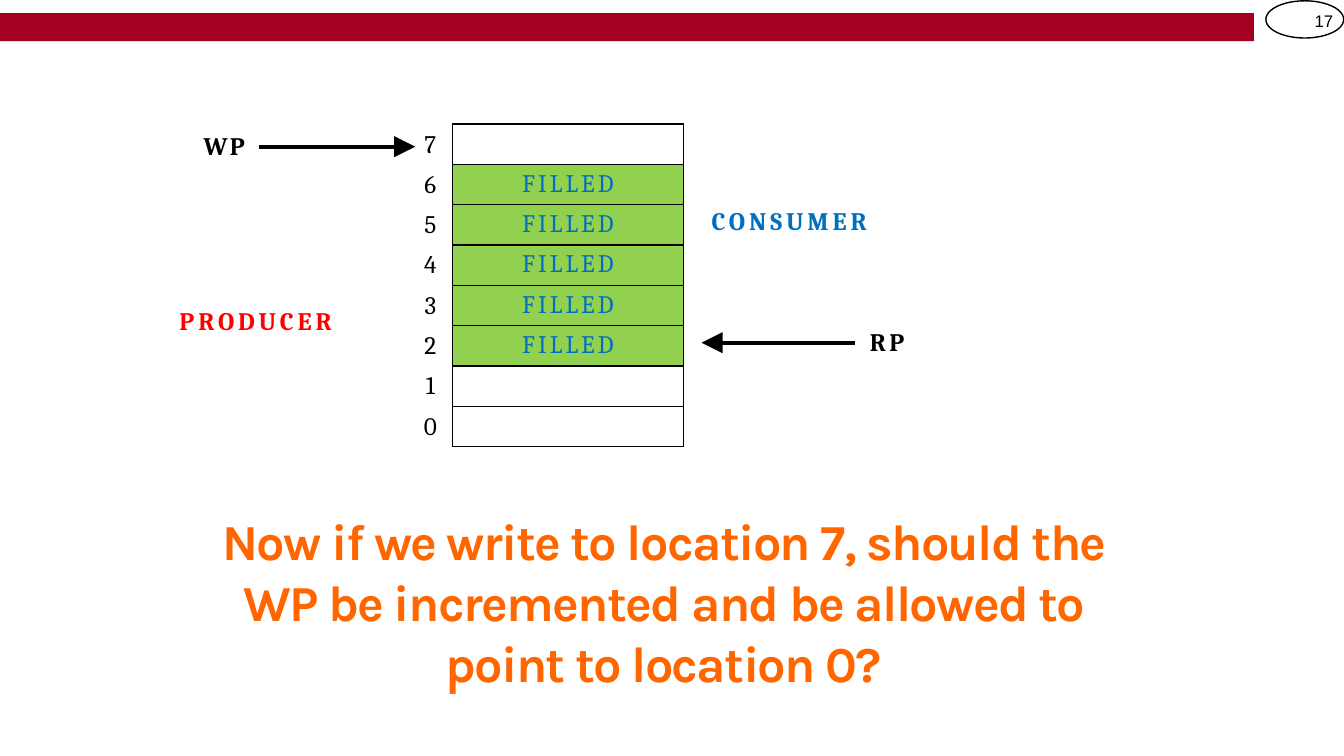
import pptx
import pptx.dml.color
import pptx.enum.shapes
import pptx.enum.text
import pptx.oxml.ns
import pptx.util
from lxml import etree

Pt = pptx.util.Pt
RGBColor = pptx.dml.color.RGBColor
ALIGN = pptx.enum.text.PP_ALIGN
SHAPE = pptx.enum.shapes.MSO_SHAPE
qn = pptx.oxml.ns.qn

BLACK = RGBColor(0x00, 0x00, 0x00)
CRIMSON = RGBColor(0xA4, 0x00, 0x20)
RED = RGBColor(0xFF, 0x00, 0x00)
BLUE = RGBColor(0x00, 0x6F, 0xC0)
GREEN = RGBColor(0x92, 0xD0, 0x50)
ORANGE = RGBColor(0xFF, 0x66, 0x00)

ROW_HEIGHT = 28.8
END_ROW_HEIGHT = 25.2
SLOT_COUNT = 8
FILLED_SLOTS = range(2, 7)


def write(paragraph, text, color, size=18, font="Cambria", bold=False,
          spacing=0, before=1, align=ALIGN.LEFT):
    run = paragraph.add_run()
    run.text = text
    run._r.get_or_add_rPr().set("spc", str(round(spacing * 100)))
    paragraph.alignment = align
    paragraph.space_before = Pt(before)
    paragraph.font.name = font
    paragraph.font.size = Pt(size)
    paragraph.font.bold = bold
    paragraph.font.color.rgb = color


def add_label(slide, text, left, top, width, height, color, **style):
    label = slide.shapes.add_textbox(Pt(left), Pt(top), Pt(width), Pt(height))
    frame = label.text_frame
    frame.word_wrap = True
    frame.margin_left = frame.margin_right = frame.margin_bottom = 0
    frame.margin_top = Pt(1)
    write(frame.paragraphs[0], text, color, **style)
    return frame.paragraphs[0]


def add_plain_shape(slide, kind, left, top, width, height):
    shape = slide.shapes.add_shape(kind, Pt(left), Pt(top), Pt(width), Pt(height))
    shape.shadow.inherit = False
    return shape


def add_header(slide):
    bar = add_plain_shape(slide, SHAPE.RECTANGLE, 0, 9.4, 895.7, 20)
    bar.fill.solid()
    bar.fill.fore_color.rgb = CRIMSON
    bar.line.fill.background()
    badge = add_plain_shape(slide, SHAPE.OVAL, 904.2, 0.6, 55.6, 26.6)
    badge.fill.background()
    badge.line.color.rgb = BLACK
    badge.line.width = Pt(1)
    add_label(slide, "17", 939, 6.5, 15, 16.5, BLACK, size=12, font="Arial",
              spacing=-0.1)


def set_borders(cell, color):
    properties = cell._tc.get_or_add_tcPr()
    for side in ("a:lnL", "a:lnR", "a:lnT", "a:lnB"):
        border = etree.SubElement(properties, qn(side), w=str(Pt(1)))
        if color is None:
            etree.SubElement(border, qn("a:noFill"))
        else:
            fill = etree.SubElement(border, qn("a:solidFill"))
            etree.SubElement(fill, qn("a:srgbClr"), val=str(color))


def add_column(slide, left, top, width, row_heights, border):
    frame = slide.shapes.add_table(len(row_heights), 1, Pt(left), Pt(top),
                                   Pt(width), Pt(sum(row_heights)))
    table = frame.table
    table.first_row = table.horz_banding = False
    for row, height in zip(table.rows, row_heights):
        row.height = Pt(height)
        cell = row.cells[0]
        cell.margin_left = cell.margin_right = cell.margin_bottom = 0
        cell.margin_top = Pt(3.6)
        set_borders(cell, border)
        cell.fill.background()
    return table


def add_buffer(slide):
    slots = add_column(slide, 323.3, 88.6, 164.9, [ROW_HEIGHT] * SLOT_COUNT, BLACK)
    for location in FILLED_SLOTS:
        cell = slots.cell(SLOT_COUNT - 1 - location, 0)
        cell.fill.solid()
        cell.fill.fore_color.rgb = GREEN
        write(cell.text_frame.paragraphs[0], "FILLED", BLUE, spacing=2.2,
              before=3.5, align=ALIGN.CENTER)


def add_locations(slide):
    heights = [END_ROW_HEIGHT, *[ROW_HEIGHT] * (SLOT_COUNT - 2), END_ROW_HEIGHT]
    numbers = add_column(slide, 292.3, 92.9, 30.2, heights, None)
    for row in range(SLOT_COUNT):
        cell = numbers.cell(row, 0)
        paragraph = cell.text_frame.paragraphs[0]
        write(paragraph, str(SLOT_COUNT - 1 - row), BLACK,
              before=3.3 if row else 0, align=ALIGN.CENTER)
        if row == 0:
            cell.margin_top = 0
            paragraph.line_spacing = Pt(21.4)
        elif row == SLOT_COUNT - 1:
            paragraph.line_spacing = Pt(20.9)


def add_pointer(slide, start, end, y):
    pointer = slide.shapes.add_connector(
        pptx.enum.shapes.MSO_CONNECTOR.STRAIGHT, Pt(start), Pt(y), Pt(end), Pt(y))
    pointer.line.color.rgb = BLACK
    pointer.line.width = Pt(3)
    etree.SubElement(pointer.line._get_or_add_ln(), qn("a:tailEnd"),
                     type="triangle", w="lg", len="lg")
    etree.SubElement(pointer._element.spPr, qn("a:effectLst"))


def main():
    presentation = pptx.Presentation()
    presentation.slide_width = Pt(960)
    presentation.slide_height = Pt(540)
    slide = presentation.slides.add_slide(presentation.slide_layouts[6])

    add_header(slide)
    add_label(slide, "PRODUCER", 128.2, 217.4, 117, 24, RED, bold=True, spacing=2.8)
    add_label(slide, "CONSUMER", 508.3, 145.4, 119, 24, BLUE, bold=True, spacing=2.8)
    add_buffer(slide)
    add_locations(slide)
    add_pointer(slide, 185, 296.6, 104.8)
    add_pointer(slide, 610.6, 501.1, 244.8)
    add_label(slide, "WP", 145.4, 92.2, 34, 24, BLACK, bold=True, spacing=1.6)
    add_label(slide, "RP", 621.3, 231.8, 31, 24, BLACK, bold=True, spacing=2.6)
    question = add_label(
        slide,
        "Now if we write to location 7, should the WP be incremented "
        "and be allowed to point to location 0?",
        129.6, 362.9, 689, 132.5, ORANGE, size=36, font="Karla", bold=True,
        spacing=-1.2, before=0.8, align=ALIGN.CENTER)
    question.line_spacing = 1.01

    presentation.save("out.pptx")


if __name__ == "__main__":
    main()
